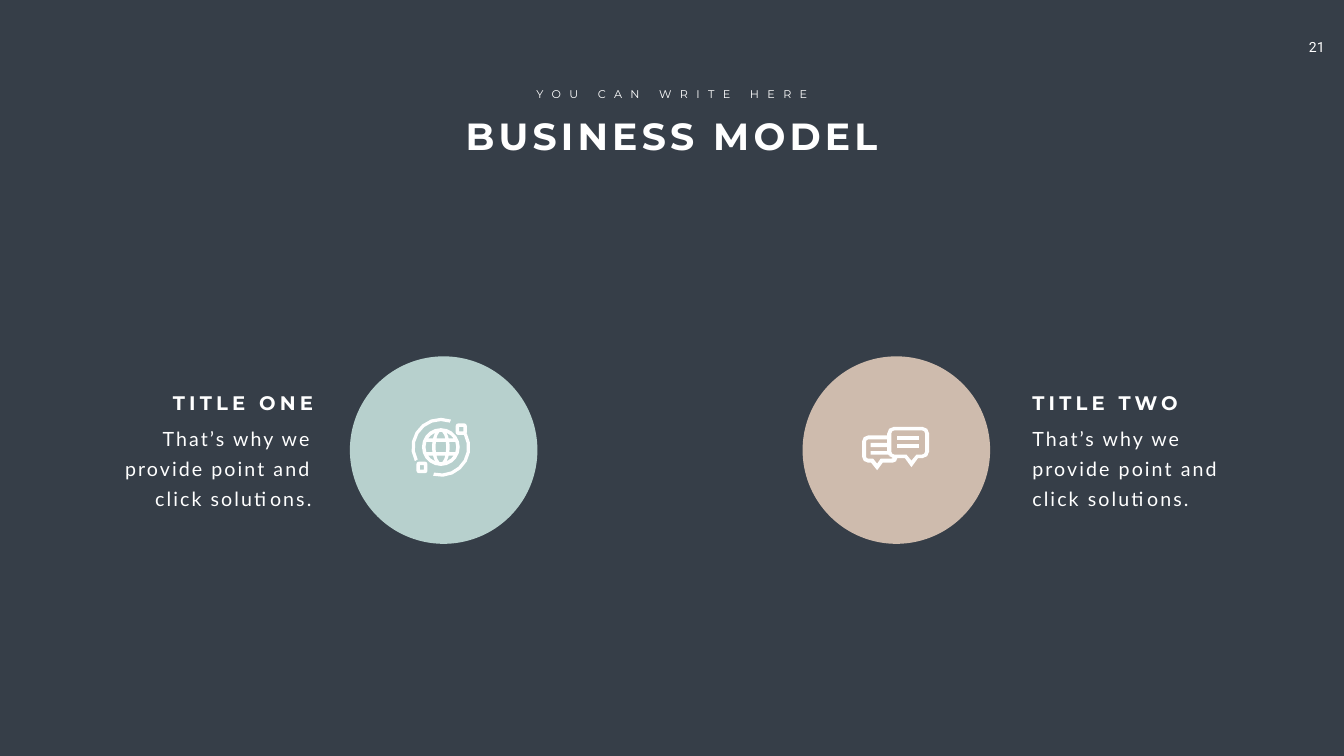
from math import cos, hypot, radians, sin, sqrt

from pptx import Presentation
from pptx.dml.color import RGBColor as Color
from pptx.enum.shapes import MSO_SHAPE as Preset
from pptx.enum.text import MSO_AUTO_SIZE as AutoSize, PP_ALIGN as Align
from pptx.util import Inches, Pt

THEME = {
    "ground": Color.from_string("363E48"),
    "ink": Color.from_string("FFFFFF"),
    "one": Color.from_string("B7D0CD"),
    "two": Color.from_string("CEBBAD"),
    # style: font name, size, bold, letter spacing in points
    "number": ("Roboto", 20, False, 0),
    "title": ("Montserrat", 54, True, 6),
    "kicker": ("Montserrat", 16, False, 12),
    "heading": ("Montserrat", 28, True, 6),
    "body": ("Lato", 28, False, 3),
}


def rounded(*corners):
    """Closed outline through (x, y, radius) corners, each eased by three points."""
    outline = []
    for i, (x, y, radius) in enumerate(corners):
        if not radius:
            outline.append((x, y))
            continue
        ends = []
        for nx, ny, _ in (corners[i - 1], corners[(i + 1) % len(corners)]):
            part = radius / hypot(nx - x, ny - y)
            ends.append((x + (nx - x) * part, y + (ny - y) * part))
        (ax, ay), (bx, by) = ends
        ease = 1 - sqrt(0.5)
        middle = (x + (ax + bx - 2 * x) * ease, y + (ay + by - 2 * y) * ease)
        outline += [ends[0], middle, ends[1]]
    return outline


def draw_icon(page, outlines):
    """One filled freeform; an outline inside another becomes a hole."""
    contours = [[(Inches(x), Inches(y)) for x, y in line] for line in outlines]
    builder = page.shapes.build_freeform(*contours[0][0])
    builder.add_line_segments(contours[0][1:])
    for contour in contours[1:]:
        builder.move_to(*contour[0])
        builder.add_line_segments(contour[1:])
    icon = builder.convert_to_shape()
    icon.shadow.inherit = False
    icon.fill.solid()
    icon.fill.fore_color.rgb = THEME["ink"]
    icon.line.fill.background()


deck = Presentation()
deck.slide_width, deck.slide_height = Inches(26.66), Inches(15)
page = deck.slides.add_slide(deck.slide_layouts[6])
page.background.fill.solid()
page.background.fill.fore_color.rgb = THEME["ground"]

# Circles
for left, colour in ((6.94, "one"), (15.92, "two")):
    circle = page.shapes.add_shape(
        Preset.OVAL, Inches(left), Inches(7.07), Inches(3.72), Inches(3.72))
    circle.shadow.inherit = False
    circle.fill.solid()
    circle.fill.fore_color.rgb = THEME[colour]
    circle.line.fill.background()

# Texts: wording, style, alignment, left, top, width, height
slogan = "That’s why we provide point and click solutions."
texts = [
    ("21", "number", Align.CENTER, 25.69, 0.67, 1.01, 0.54),
    ("BUSINESS MODEL", "title", Align.CENTER, 8.77, 2.18, 9.11, 1.01),
    ("YOU CAN WRITE HERE", "kicker", Align.CENTER, 10.44, 1.68, 5.78, 0.37),
    (slogan, "body", Align.RIGHT, 1.87, 8.29, 4.41, 1.85),
    ("TITLE ONE", "heading", Align.RIGHT, 1.9, 7.71, 4.41, 0.57),
    (slogan, "body", Align.LEFT, 20.38, 8.29, 4.41, 1.85),
    ("TITLE TWO", "heading", Align.LEFT, 20.38, 7.71, 4.41, 0.57),
]
for wording, style, align, *place in texts:
    box = page.shapes.add_textbox(*map(Inches, place))
    frame = box.text_frame
    frame.word_wrap = style != "kicker"
    frame.auto_size = AutoSize.SHAPE_TO_FIT_TEXT
    if style == "number":
        margins = {"margin_left": 0.2, "margin_top": 0.1,
                   "margin_right": 0.35, "margin_bottom": 0.1}
        for name, value in margins.items():
            setattr(frame, name, Inches(value))
    para = frame.paragraphs[0]
    para.alignment = align
    if style == "body":
        para.line_spacing = Pt(43)
    span = para.add_run()
    span.text = wording
    font_name, size, bold, spacing = THEME[style]
    for name, value in {"name": font_name, "size": Pt(size), "bold": bold}.items():
        setattr(span.font, name, value)
    span.font.color.rgb = THEME["ink"]
    if spacing:
        span.font._element.set("spc", str(spacing * 100))

# Globe: a disc with holes between its meridians and parallels
gx, gy = 8.745, 8.87
globe = [[(gx + 0.375 * cos(radians(a)), gy + 0.375 * sin(radians(a)))
          for a in range(0, 360, 18)]]
for low, high in ((-0.3, -0.17), (-0.1, 0.1), (0.17, 0.3)):
    # Each hole lies between two half ellipses: (half width, half height)
    for near, far, limit in (((-0.105, 0.31), (0.105, 0.31), 0.3),
                             ((0.175, 0.37), (0.305, 0.305), 0.28),
                             ((-0.175, 0.37), (-0.305, 0.305), 0.28)):
        start, stop = max(low, -limit), min(high, limit)
        rows = [start, (start + stop) / 2, stop]
        sides = [[(gx + wide * sqrt(1 - (dy / tall) ** 2), gy + dy) for dy in rows]
                 for wide, tall in (near, far)]
        globe.append(sides[0] + sides[1][::-1])
draw_icon(page, globe)

# Orbits: an arc that leaves a small square frame
for first, last, left, top in ((-28, 105, 9.04, 8.4), (152, 290, 8.26, 9.16)):
    turns = [radians(first + (last - first) * i / 7) for i in range(8)]
    arcs = [[(gx + r * cos(a), 8.875 + r * sin(a)) for a in turns]
            for r in (0.52, 0.585)]
    frames = []
    for inset, radius in ((0, 0.05), (0.07, 0)):
        x1, y1 = left + inset, top + inset
        x2, y2 = left + 0.22 - inset, top + 0.23 - inset
        frames.append(rounded((x1, y1, radius), (x2, y1, radius),
                              (x2, y2, radius), (x1, y2, radius)))
    draw_icon(page, [arcs[0] + arcs[1][::-1], *frames])

# Speech bubbles: two outlines in front, then the bubble behind
bubbles = []
for x1, y1, x2, y2, radius, half, tip in (
        (17.6, 8.47, 18.43, 9.09, 0.13, 0.13, 9.27),
        (17.68, 8.54, 18.35, 9.02, 0.06, 0.1, 9.14)):
    bubbles.append(rounded(
        (x1, y1, radius), (x2, y1, radius), (x2, y2, radius),
        (18.08 + half, y2, 0), (18.08, tip, 0), (18.08 - half, y2, 0),
        (x1, y2, radius)))
bubbles.append(rounded(
    (17.6, 8.64, 0), (17.1, 8.64, 0.12), (17.1, 9.18, 0.12), (17.28, 9.18, 0),
    (17.4, 9.33, 0), (17.51, 9.18, 0), (17.8, 9.18, 0.09), (17.8, 9.09, 0),
    (17.6, 9.09, 0.13)))
bubbles.append(rounded(
    (17.18, 8.72, 0.04), (17.6, 8.72, 0), (17.6, 8.79, 0), (17.27, 8.79, 0),
    (17.27, 8.87, 0), (17.6, 8.87, 0), (17.6, 8.95, 0), (17.27, 8.95, 0),
    (17.27, 9.02, 0), (17.62, 9.02, 0), (17.71, 9.09, 0), (17.68, 9.1, 0),
    (17.47, 9.1, 0), (17.4, 9.2, 0), (17.32, 9.1, 0), (17.18, 9.1, 0.04)))
draw_icon(page, bubbles)

# Lines of writing in the front bubble
for top in (8.65, 8.81):
    draw_icon(page, [[(17.79, top), (18.23, top),
                      (18.23, top + 0.08), (17.79, top + 0.08)]])

deck.save("out.pptx")
